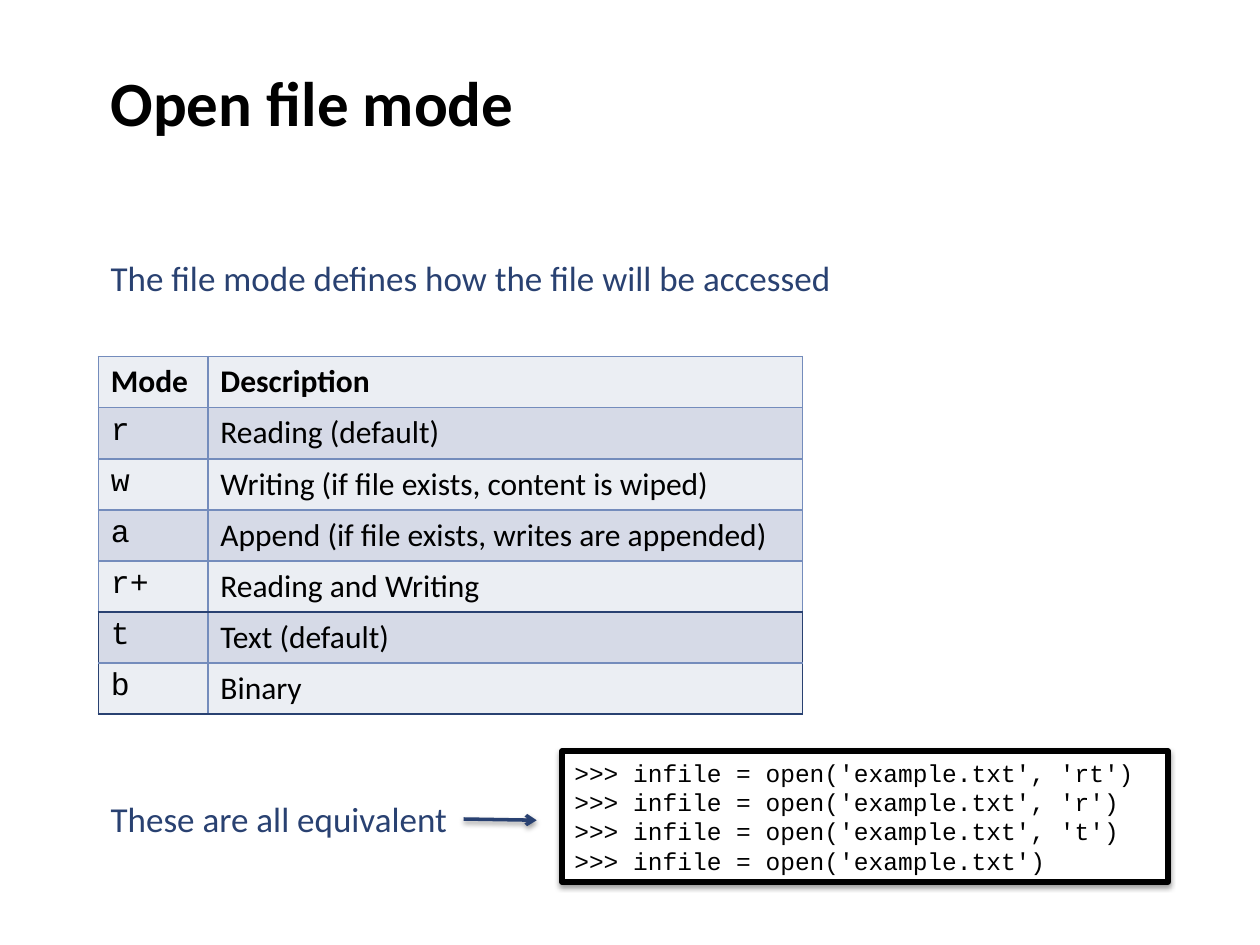
import pptx
import pptx.chart.data
import pptx.dml.color
import pptx.enum.shapes
import pptx.enum.text
import pptx.oxml
import pptx.oxml.ns
import pptx.util
from lxml import etree

Inches = pptx.util.Inches
Pt = pptx.util.Pt
Anchor = pptx.enum.text.MSO_ANCHOR


def color(hex_string):
    return pptx.dml.color.RGBColor.from_string(hex_string)


def add_child(parent, tag, **attributes):
    """Append a DrawingML element and return it."""
    child = etree.SubElement(parent, pptx.oxml.ns.qn(tag))
    for name, value in attributes.items():
        child.set(name, str(value))
    return child


def write(para, text, size=18, font="Calibri", fill="000000", bold=False):
    span = para.add_run()
    span.text = text
    span.font.size = Pt(size)
    span.font.name = font
    span.font.bold = bold
    span.font.color.rgb = color(fill)


class SlideBuilder:
    NAVY = "294171"
    GRID = "748CBC"
    BANDS = ("EBEEF3", "D6DAE7")
    CODE = "Courier New"

    def __init__(self, page):
        self.page = page

    def fill_frame(self, frame, lines, wrap=True, **style):
        frame.word_wrap = wrap
        frame.vertical_anchor = Anchor.MIDDLE
        for index, line in enumerate(lines):
            para = frame.add_paragraph() if index else frame.paragraphs[0]
            para.alignment = pptx.enum.text.PP_ALIGN.LEFT
            write(para, line, **style)

    def text(self, left, top, width, height, line, **style):
        box = self.page.shapes.add_textbox(
            Inches(left), Inches(top), Inches(width), Inches(height))
        self.fill_frame(box.text_frame, [line], **style)

    def shadow(self, shape):
        effects = add_child(shape._element.spPr, "a:effectLst")
        outer = add_child(effects, "a:outerShdw", blurRad=Pt(3.1), dist=Pt(1.6),
                          dir=90 * 60000, rotWithShape=0)
        tint = add_child(outer, "a:srgbClr", val="000000")
        add_child(tint, "a:alpha", val=38000)

    def code_box(self, left, top, width, height, lines):
        box = self.page.shapes.add_shape(
            pptx.enum.shapes.MSO_SHAPE.RECTANGLE,
            Inches(left), Inches(top), Inches(width), Inches(height))
        box.fill.solid()
        box.fill.fore_color.rgb = color("FFFFFF")
        box.line.color.rgb = color("000000")
        box.line.width = Pt(3)
        self.shadow(box)
        self.fill_frame(box.text_frame, lines, size=14, font=self.CODE)

    def arrow(self, start_x, start_y, end_x, end_y):
        line = self.page.shapes.add_connector(
            pptx.enum.shapes.MSO_CONNECTOR.STRAIGHT,
            Inches(start_x), Inches(start_y), Inches(end_x), Inches(end_y))
        line.line.color.rgb = color(self.NAVY)
        line.line.width = Pt(2)
        add_child(line.line._get_or_add_ln(), "a:tailEnd", type="arrow")
        self.shadow(line)

    def cell(self, cell, text, band, borders, **style):
        write(cell.text_frame.paragraphs[0], text, **style)
        properties = cell._tc.get_or_add_tcPr()
        for side in "LRTB":
            edge = add_child(properties, "a:ln" + side, w=Pt(1))
            paint = add_child(edge, "a:solidFill")
            add_child(paint, "a:srgbClr", val=borders.get(side, self.GRID))
        cell.fill.solid()
        cell.fill.fore_color.rgb = color(band)

    def table(self, left, top, widths, height, rows, framed_from):
        """Banded table with a dark frame around the rows from framed_from on."""
        table = self.page.shapes.add_table(
            len(rows), len(widths), Inches(left), Inches(top),
            Inches(sum(widths)), Inches(height)).table
        for column, width in zip(table.columns, widths):
            column.width = Inches(width)
        last_row, last_column = len(rows) - 1, len(widths) - 1
        for r, row in enumerate(rows):
            for c, text in enumerate(row):
                framed = r >= framed_from
                dark = {"L": framed and c == 0,
                        "R": framed and c == last_column,
                        "T": r == framed_from,
                        "B": r in (framed_from - 1, last_row)}
                borders = {side: self.NAVY for side, on in dark.items() if on}
                font = self.CODE if r and c == 0 else "Calibri"
                self.cell(table.cell(r, c), text, self.BANDS[r % 2], borders,
                          font=font, bold=r == 0)


deck = pptx.Presentation()
deck.slide_width, deck.slide_height = Inches(10), Inches(7.5)
slide = SlideBuilder(deck.slides.add_slide(deck.slide_layouts[6]))
margin = 0.78
note = {"size": 20, "fill": slide.NAVY}

# Title and introduction
slide.text(margin, 0, 8.5, 1.61, "Open file mode", size=36, bold=True)
slide.text(margin, 1.98, 7.95, 0.44,
           "The file mode defines how the file will be accessed", **note)

# File modes
slide.table(margin, 2.83, (0.87, 4.72), 2.84, [
    ("Mode", "Description"),
    ("r", "Reading (default)"),
    ("w", "Writing (if file exists, content is wiped)"),
    ("a", "Append (if file exists, writes are appended)"),
    ("r+", "Reading and Writing"),
    ("t", "Text (default)"),
    ("b", "Binary"),
], framed_from=5)

# Equivalent calls
arguments = ("", ", 'rt'"), ("", ", 'r'"), ("", ", 't'"), ("", "")
slide.code_box(4.46, 5.96, 4.81, 1.04, [
    f">>> infile = open('example.txt'{mode})"
    for mode in (", 'rt'", ", 'r'", ", 't'", "")])
slide.text(margin, 6.28, 2.9, 0.44, "These are all equivalent", wrap=False, **note)
slide.arrow(3.68, 6.5, 4.26, 6.51)

deck.save("out.pptx")
